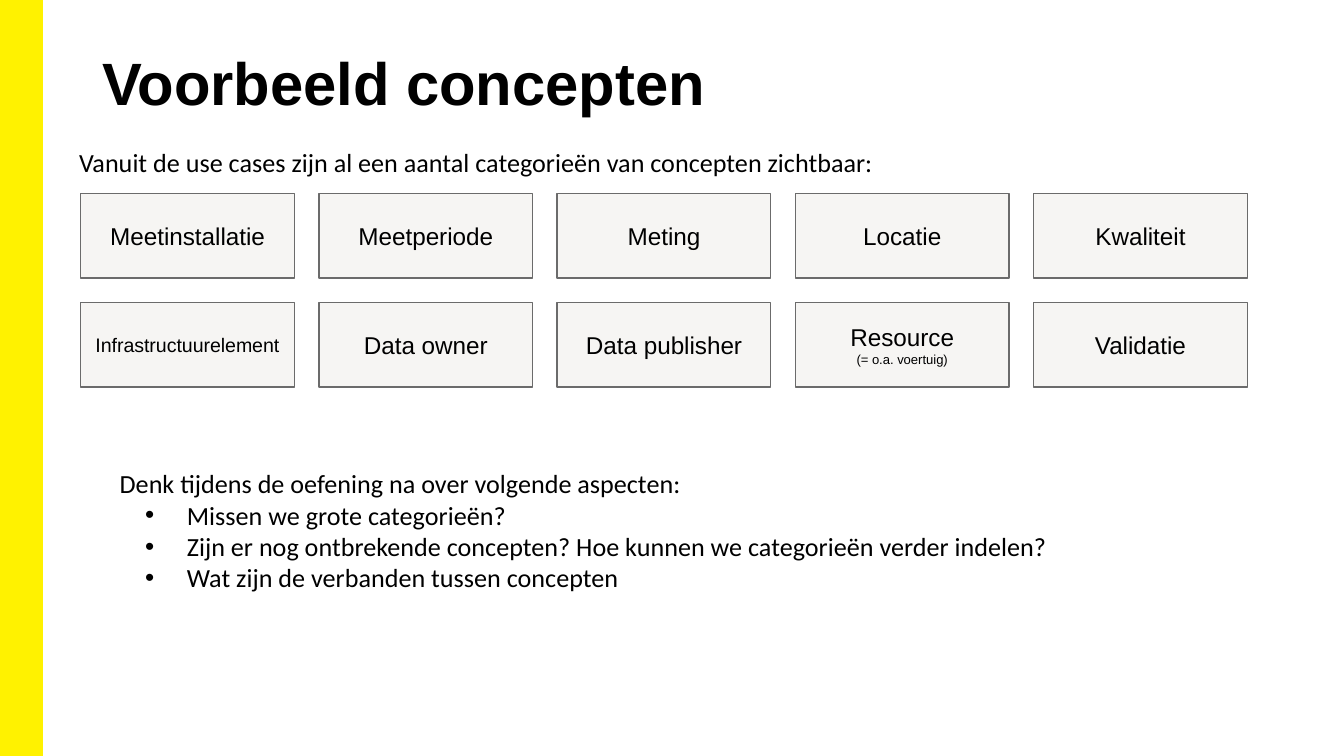
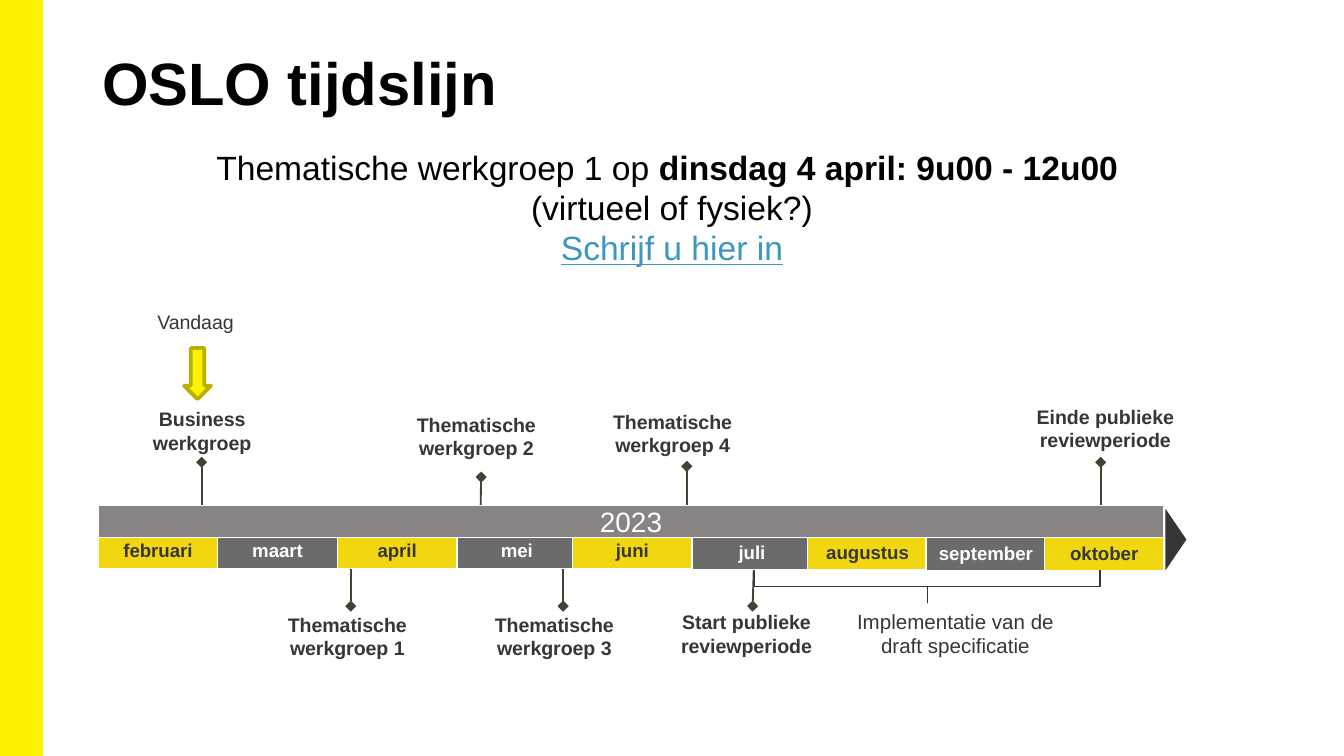
"""Build two slides: a grid of concepts and a project timeline."""
from lxml.etree import SubElement
from pptx import Presentation
from pptx.dml.color import RGBColor
from pptx.enum.shapes import MSO_CONNECTOR, MSO_SHAPE
from pptx.enum.text import MSO_ANCHOR, MSO_AUTO_SIZE, PP_ALIGN
from pptx.oxml.ns import qn
from pptx.util import Inches, Pt

WIDE = 10
HIGH = WIDE * 9 / 16
BLACK, WHITE, DARK = "000000", "FFFFFF", "373636"
YELLOW, GOLD, GREY = "FFF200", "F0D70F", "6B6B6B"
PALE, STEM = "F6F5F3", "454034"
SLIM = (0.07, 0.04, 0.07, 0.04)
EVEN = (0.1, 0.1, 0.1, 0.1)
NONE = (0, 0, 0, 0)

CONCEPTS = [
    ["Meetinstallatie", "Meetperiode", "Meting", "Locatie", "Kwaliteit"],
    ["Infrastructuurelement", "Data owner", "Data publisher", "Resource", "Validatie"],
]
SIZES = {"Infrastructuurelement": 10.5}
NOTES = {"Resource": "(= o.a. voertuig)"}
ASPECTS = [
    "Missen we grote categorieën?",
    "Zijn er nog ontbrekende concepten? Hoe kunnen we categorieën verder indelen?",
    "Wat zijn de verbanden tussen concepten",
]
MONTHS = [
    ("februari", 0.73, 3.98), ("maart", 1.62, 3.98), ("april", 2.51, 3.98),
    ("mei", 3.4, 3.98), ("juni", 4.26, 3.98), ("juli", 5.15, 3.99),
    ("augustus", 6.01, 3.99), ("september", 6.89, 4), ("oktober", 7.77, 4),
]
EVENTS = [
    ("Business werkgroep", 0.9, 3.03),
    ("Thematische werkgroep 1", 1.98, 4.56),
    ("Thematische werkgroep 2", 2.94, 3.07),
    ("Thematische werkgroep 3", 3.52, 4.56),
    ("Thematische werkgroep 4", 4.4, 3.05),
    ("Start publieke reviewperiode", 4.95, 4.54),
    ("Einde publieke reviewperiode", 7.62, 3.01),
]
PINS = [
    (1.5, 3.9, 1.5, 3.44), (2.61, 4.23, 2.61, 4.51), (3.57, 4.16, 3.58, 3.55),
    (4.19, 4.23, 4.19, 4.51), (5.11, 3.83, 5.11, 3.47), (5.61, 4.19, 5.6, 4.51),
    (8.19, 3.96, 8.19, 3.44),
]


def paint(color):
    """Turn a hex string into a colour."""
    return RGBColor.from_string(color)


def place(shape, box):
    """Move a shape to left, top, width, height."""
    shape.left, shape.top, shape.width, shape.height = map(Inches, box)


def set_frame(shape, pads, anchor=MSO_ANCHOR.TOP):
    """Set the insets and anchor of a text frame and return it."""
    frame = shape.text_frame
    frame.word_wrap = True
    frame.auto_size = MSO_AUTO_SIZE.NONE
    frame.vertical_anchor = anchor
    (frame.margin_left, frame.margin_top,
     frame.margin_right, frame.margin_bottom) = map(Inches, pads)
    return frame


def add_para(frame, align=PP_ALIGN.LEFT, bullet=None):
    """Start a paragraph, using the empty first one if there is one."""
    para = frame.paragraphs[0]
    if para.runs:
        para = frame.add_paragraph()
    props = para._p.get_or_add_pPr()
    para.alignment = align
    para.space_before = para.space_after = Pt(0)
    if bullet:
        para.level = 3
        props.set("marL", str(Inches(0.5)))
        props.set("indent", str(Inches(-0.31)))
        tint = SubElement(SubElement(props, qn("a:buClr")), qn("a:srgbClr"))
        tint.set("val", BLACK)
        SubElement(props, qn("a:buFont")).set("typeface", "Arial")
        SubElement(props, qn("a:buChar")).set("char", bullet)
    else:
        props.set("marL", "0")
        props.set("indent", "0")
        SubElement(props, qn("a:buNone"))
    return para


def add_run(para, text, size, color=BLACK, bold=False, face="Arial"):
    """Add one formatted run and return it."""
    run = para.add_run()
    run.text = text
    font = run.font
    font.size, font.name, font.bold = Pt(size), face, bold
    font.color.rgb = paint(color)
    return run


def add_form(slide, kind, box, fill, line, width=0.75):
    """Add a preset shape without shadow."""
    shape = slide.shapes.add_shape(kind, *map(Inches, box))
    shape.shadow.inherit = False
    if fill:
        shape.fill.solid()
        shape.fill.fore_color.rgb = paint(fill)
    else:
        shape.fill.background()
    shape.line.color.rgb = paint(line)
    shape.line.width = Pt(width)
    return shape


def add_block(slide, box, text, size, fill, line, color, bold=False, pads=EVEN):
    """Add a filled block with centred text and return its frame."""
    shape = add_form(slide, MSO_SHAPE.RECTANGLE, box, fill, line)
    frame = set_frame(shape, pads, MSO_ANCHOR.MIDDLE)
    add_run(add_para(frame, PP_ALIGN.CENTER), text, size, color, bold)
    return frame


def add_label(slide, box, text, size=10.5, bold=True):
    """Add a centred timeline label."""
    label = slide.shapes.add_textbox(*map(Inches, box))
    para = add_para(set_frame(label, NONE), PP_ALIGN.CENTER)
    add_run(para, text, size, DARK, bold)


def add_pin(slide, ends):
    """Add a line that ends in a diamond."""
    pin = slide.shapes.add_connector(MSO_CONNECTOR.STRAIGHT, *map(Inches, ends))
    pin.line.color.rgb = paint(STEM)
    pin.line.width = Pt(1)
    props = pin.element.spPr
    SubElement(props.find(qn("a:ln")), qn("a:tailEnd")).set("type", "diamond")
    SubElement(props, qn("a:effectLst"))


def add_band(slide):
    """Put the yellow side band on the layout that the slides share."""
    band = add_form(slide, MSO_SHAPE.RECTANGLE, (0, 0, 0.31, HIGH), YELLOW, YELLOW, 1)
    slide.slide_layout.shapes.element.insert(2, band.element)


def add_page(deck, title, tall, body, pads):
    """Add a slide with its title and return it with its body frame."""
    slide = deck.slides.add_slide(deck.slide_layouts[1])
    head, main_text = slide.placeholders
    place(head, (0.69, 0.3, 8.62, tall))
    add_run(add_para(set_frame(head, SLIM)), title, 32, bold=True)
    place(main_text, body)
    return slide, set_frame(main_text, pads)


def draw_grid(slide):
    """Draw the concept blocks in rows of five."""
    step = (7.69 - 0.6) / 4
    for row, names in enumerate(CONCEPTS):
        for col, name in enumerate(names):
            box = (0.6 + col * step, 1.44 + row * 0.81, 1.59, 0.63)
            frame = add_block(slide, box, name, SIZES.get(name, 13), PALE, GREY, BLACK)
            if name in NOTES:
                add_run(add_para(frame, PP_ALIGN.CENTER), NOTES[name], 7)


def draw_months(slide):
    """Draw the month blocks, the year bar and its arrow tip."""
    tip = add_form(slide, MSO_SHAPE.ISOSCELES_TRIANGLE, (8.5, 3.93, 0.5, 0.17), DARK, WHITE)
    tip.rotation = 90
    for index, (name, left, top) in enumerate(MONTHS):
        fill, color = (GREY, WHITE) if index % 2 else (GOLD, DARK)
        add_block(slide, (left, top, 0.89, 0.25), name, 10, fill, WHITE, color,
                  True, (0.08, 0.08, 0.08, 0.1))
    add_block(slide, (0.73, 3.76, 7.93, 0.24), "2023", 15, "888484", WHITE, WHITE,
              pads=(0.1, 0.05, 0.1, 0.05))


def build_concepts(deck):
    """Build the slide with concepts and questions."""
    slide, frame = add_page(deck, "Voorbeeld concepten", 1.38,
                            (0.79, 3.38, 8.82, 1.61), EVEN)
    add_band(slide)
    add_run(add_para(frame), "Denk tijdens de oefening na over volgende aspecten:",
            14, face="Calibri")
    for text in ASPECTS:
        add_run(add_para(frame, bullet="•"), text, 14, face="Calibri")
    intro = slide.shapes.add_textbox(*map(Inches, (0.49, 0.99, 8.82, 0.41)))
    add_run(add_para(set_frame(intro, EVEN)),
            "Vanuit de use cases zijn al een aantal categorieën van concepten zichtbaar:",
            14, face="Calibri")
    draw_grid(slide)


def build_timeline(deck):
    """Build the slide with the timeline."""
    slide, frame = add_page(deck, "OSLO tijdslijn", 0.81,
                            (0.69, 1.05, 8.62, 1.07), SLIM)
    para = add_para(frame, PP_ALIGN.CENTER)
    add_run(para, "Thematische werkgroep 1 op ", 18)
    add_run(para, "dinsdag 4 april: 9u00 - 12u00 ", 18, bold=True)
    para.add_line_break()
    add_run(para, "(virtueel of fysiek?)", 18)
    para = add_para(frame, PP_ALIGN.CENTER)
    add_run(para, "Schrijf u hier in", 18, "3C96BE").font.underline = True
    for ends in PINS:
        add_pin(slide, ends)
    draw_months(slide)
    for text, left, top in EVENTS:
        add_label(slide, (left, top, 1.21, 0.42), text)
    brace = add_form(slide, MSO_SHAPE.LEFT_BRACE, (6.78, 3.08, 0.24, 2.57), None, "353333")
    brace.adjustments[0] = 0
    brace.rotation = 270
    add_label(slide, (6.21, 4.53, 1.8, 0.42), "Implementatie van de draft specificatie",
              11, False)
    add_form(slide, MSO_SHAPE.DOWN_ARROW, (1.37, 2.59, 0.2, 0.38), YELLOW, "BAB000", 2)
    add_label(slide, (0.85, 2.31, 1.21, 0.26), "Vandaag", bold=False)


def main():
    """Build and save the deck."""
    deck = Presentation()
    deck.slide_width, deck.slide_height = Inches(WIDE), Inches(HIGH)
    build_concepts(deck)
    build_timeline(deck)
    deck.save("out.pptx")


if __name__ == "__main__":
    main()
